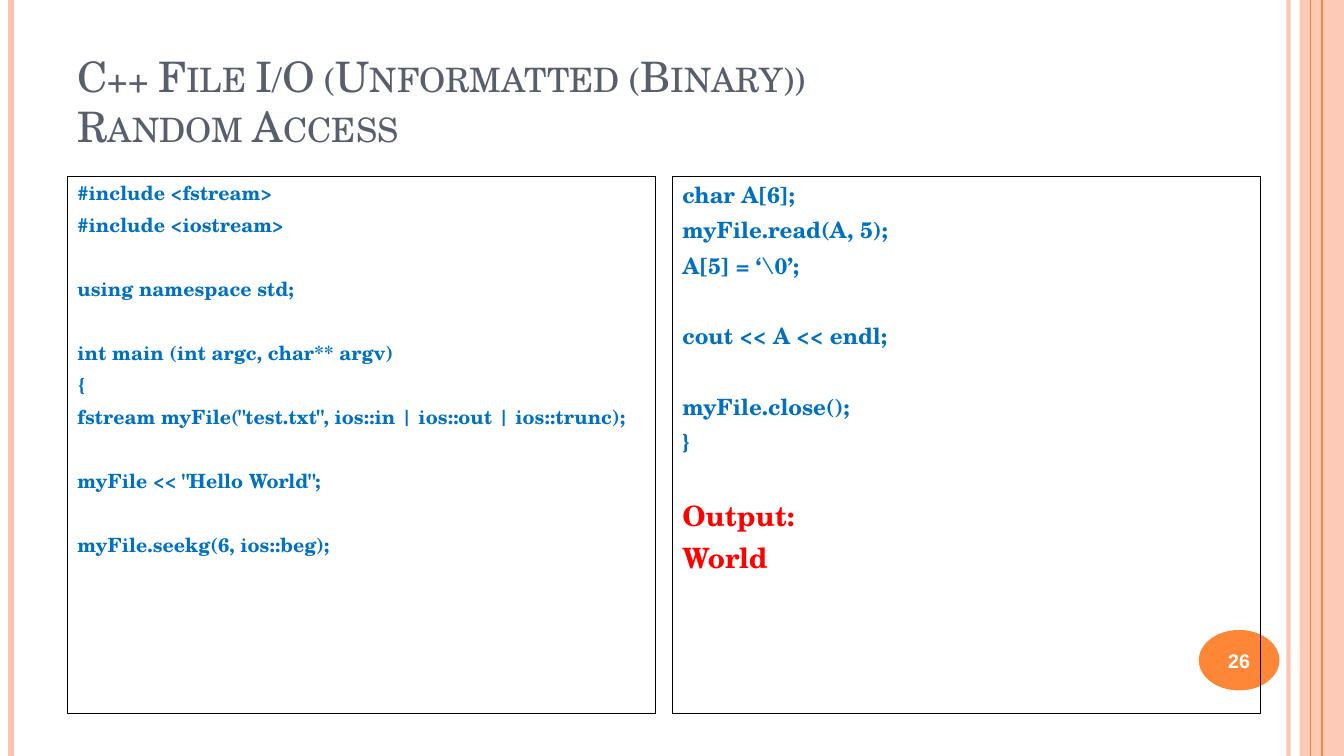
from lxml.etree import SubElement
from pptx import Presentation
from pptx.dml.color import RGBColor
from pptx.enum.shapes import MSO_CONNECTOR, MSO_SHAPE
from pptx.enum.text import MSO_ANCHOR, MSO_AUTO_SIZE, PP_ALIGN
from pptx.oxml.ns import qn
from pptx.util import Inches, Pt

PEACH = RGBColor(0xFE, 0xC3, 0xAE)
ORANGE = RGBColor(0xFE, 0x86, 0x37)
SLATE = RGBColor(0x57, 0x5F, 0x6D)
BLUE = RGBColor(0x00, 0x70, 0xC0)
RED = RGBColor(0xFF, 0x00, 0x00)
BLACK = RGBColor(0x00, 0x00, 0x00)
WHITE = RGBColor(0xFF, 0xFF, 0xFF)
SERIF = "TeX Gyre Schola"


def style(r, color, **font):
    r.font.color.rgb = color
    for name, value in font.items():
        setattr(r.font, name, value)


def set_alpha(fill, percent):
    """Make a solid fill, of a shape or a line, partly transparent."""
    color = fill._xPr.find(qn("a:solidFill"))[0]
    SubElement(color, qn("a:alpha")).set("val", str(percent * 1000))


prs = Presentation()
prs.slide_width, prs.slide_height = Inches(13.33), Inches(7.5)
slide = prs.slides.add_slide(prs.slide_layouts[5])
shapes = slide.shapes

# Side stripes: x, colour, width in points, opacity
band = shapes.add_shape(MSO_SHAPE.RECTANGLE, Inches(12.89), 0, Inches(0.44), Inches(7.5))
band.shadow.inherit = False
band.fill.solid()
band.fill.fore_color.rgb = PEACH
set_alpha(band.fill, 87)
band.line.fill.background()

stripes = [
    (12.78, PEACH, 3, 93),
    (0.11, PEACH, 4.5, 100),
    (13.11, ORANGE, 1.5, 100),
    (13, ORANGE, 0.75, 100),
]
for x, color, width, opacity in stripes:
    stripe = shapes.add_connector(MSO_CONNECTOR.STRAIGHT, Inches(x), 0, Inches(x), Inches(7.5))
    stripe.line.color.rgb = color
    stripe.line.width = Pt(width)
    if opacity < 100:
        set_alpha(stripe.line.fill, opacity)
    SubElement(stripe._element.spPr, qn("a:effectLst"))

# Slide number
badge = shapes.add_shape(MSO_SHAPE.OVAL, Inches(11.89), Inches(6.25), Inches(0.8), Inches(0.6))
badge.shadow.inherit = False
badge.fill.solid()
badge.fill.fore_color.rgb = ORANGE
badge.line.fill.background()
tf = badge.text_frame
tf.margin_left = tf.margin_right = 0
tf.vertical_anchor = MSO_ANCHOR.MIDDLE
p = tf.paragraphs[0]
p.alignment = PP_ALIGN.CENTER
r = p.add_run()
r.text = "26"
style(r, WHITE, name="Arial", size=Pt(14), bold=True)

# Title
title = shapes.title
title.left, title.top = Inches(0.67), Inches(0.3)
title.width, title.height = Inches(11.22), Inches(1.25)
tf = title.text_frame
tf.text = "C++ File I/O (Unformatted (Binary))\vRandom Access"
tf.auto_size = MSO_AUTO_SIZE.NONE
tf.vertical_anchor = MSO_ANCHOR.BOTTOM
p = tf.paragraphs[0]
p.alignment = PP_ALIGN.LEFT
for r in p.runs:
    style(r, SLATE, name=SERIF, size=Pt(30))
    r.font._element.set("cap", "small")

# Code panels: blocks of lines, with one line's height between blocks
setup_blocks = [
    ["#include <fstream>", "#include <iostream>"],
    ["using namespace std;"],
    [
        "int main (int argc, char** argv)",
        "{",
        'fstream myFile("test.txt", ios::in | ios::out | ios::trunc);',
    ],
    ['myFile << "Hello World";'],
    ["myFile.seekg(6, ios::beg);"],
]
read_blocks = [
    ["char A[6];", "myFile.read(A, 5);", "A[5] = ‘\\0’;"],
    ["cout << A << endl;"],
    ["myFile.close();", "}"],
    ["Output:", "World"],
]
for x, size, blocks in [(0.67, 14, setup_blocks), (6.67, 16, read_blocks)]:
    panel = shapes.add_shape(
        MSO_SHAPE.RECTANGLE, Inches(x), Inches(1.75), Inches(5.83), Inches(5.33)
    )
    panel.shadow.inherit = False
    panel.fill.background()
    panel.line.color.rgb = BLACK
    panel.line.width = Pt(0.75)
    tf = panel.text_frame
    tf.word_wrap = True
    tf.vertical_anchor = MSO_ANCHOR.TOP
    p = tf.paragraphs[0]
    for block in blocks:
        is_output = block[0] == "Output:"
        for i, line in enumerate(block):
            if p.runs:
                p = tf.add_paragraph()
            p.alignment = PP_ALIGN.LEFT
            new_block = i == 0 and block is not blocks[0]
            p.space_before = Pt(12 + 1.2 * size if new_block else 6)
            r = p.add_run()
            r.text = line
            style(r, RED if is_output else BLUE, name=SERIF, bold=True,
                  size=Pt(20 if is_output else size))

prs.save("out.pptx")
